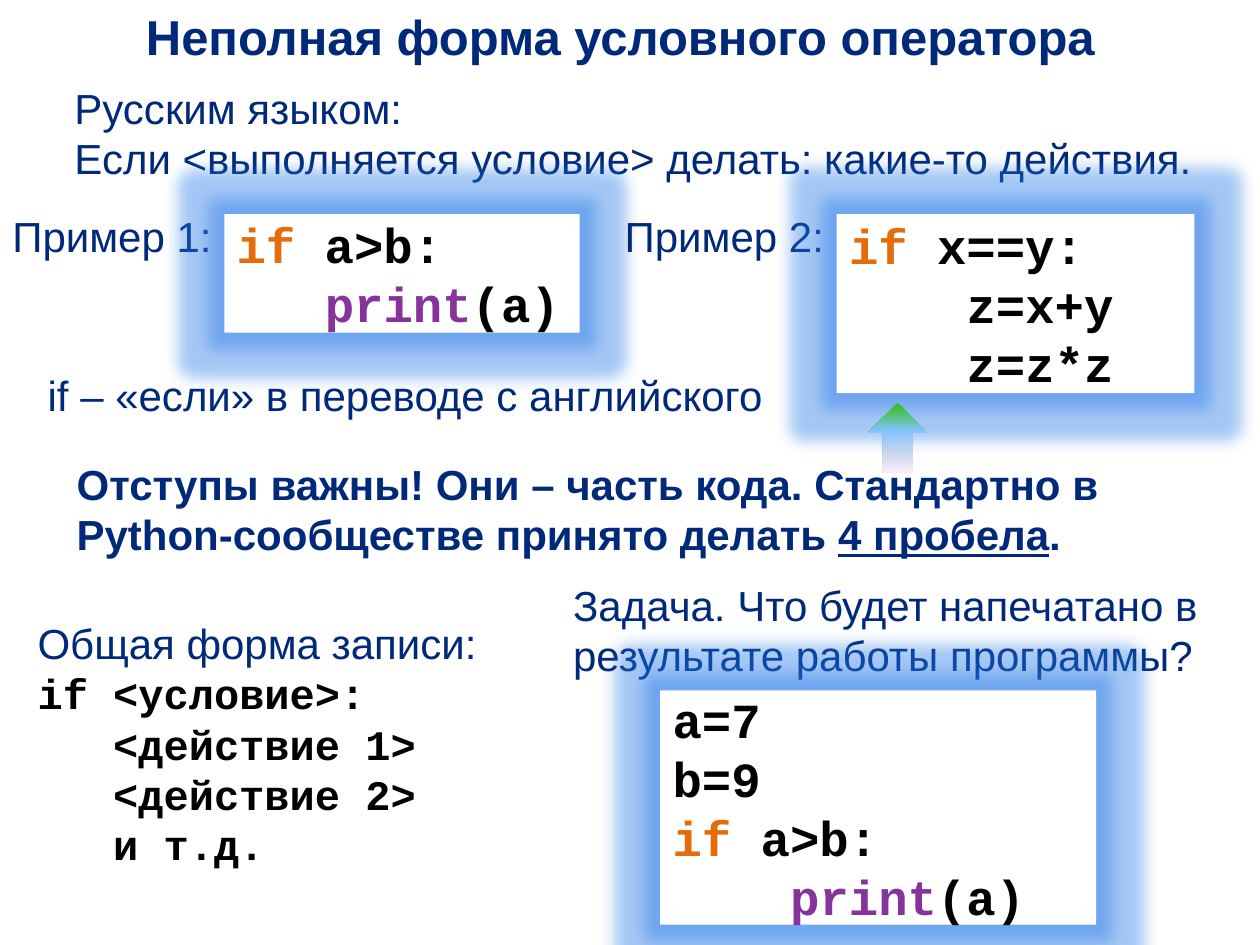
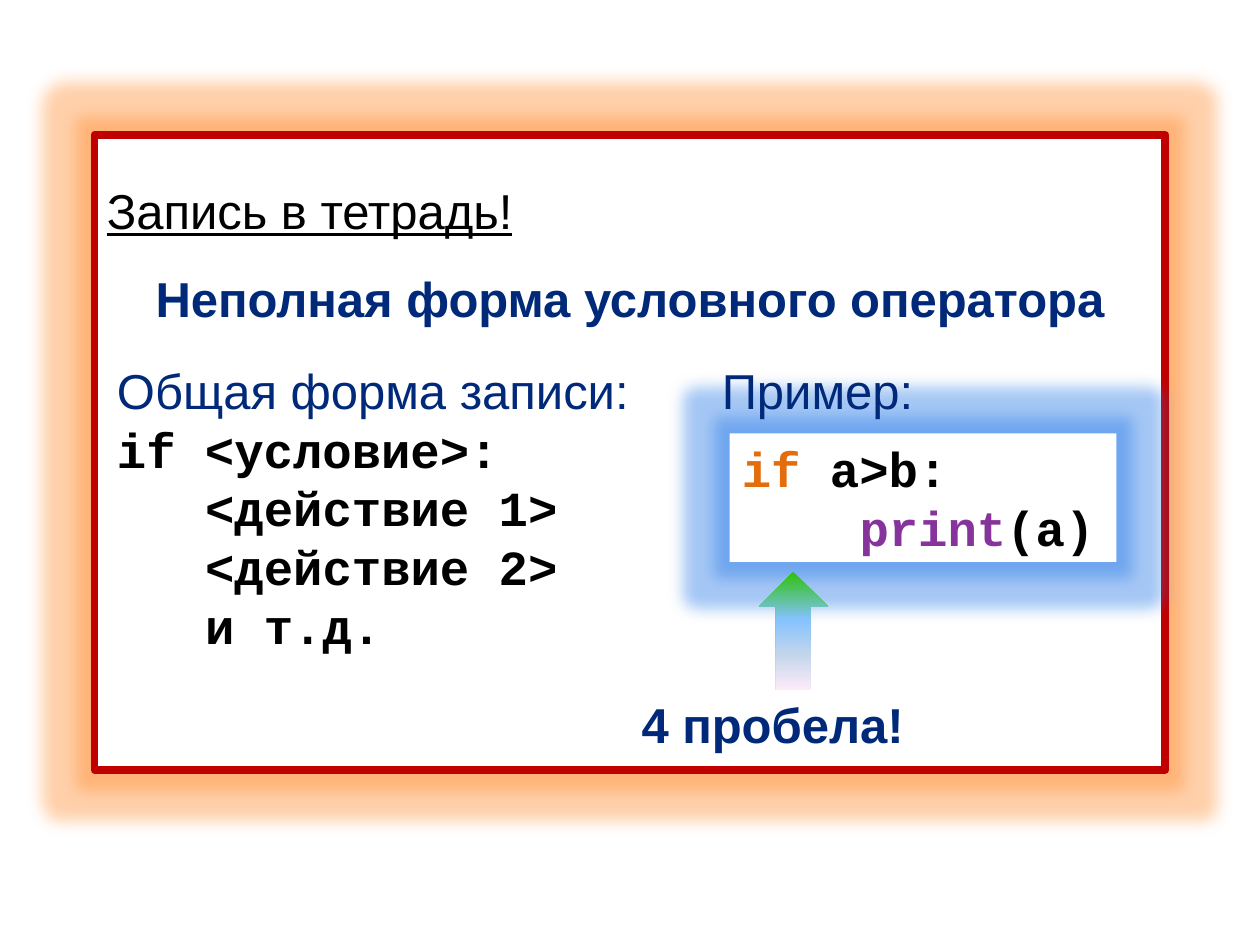
from dataclasses import dataclass
from typing import NamedTuple

from lxml.etree import SubElement
from pptx import Presentation
from pptx.dml.color import RGBColor
from pptx.enum.shapes import MSO_SHAPE
from pptx.enum.text import MSO_ANCHOR, PP_ALIGN
from pptx.oxml.ns import qn
from pptx.util import Emu, Inches, Pt

CELL = Inches(0.1)
COLUMNS, ROWS = 100, 75
SANS, MONO = "Arial", "Courier New"
NAVY, BLACK, WHITE = "00297A", "000000", "FFFFFF"
KEYWORD, BUILTIN, RED = "E46C0A", "86349C", "C00000"
BLUE_GLOW, ORANGE_GLOW = "2075E6", "FF8A2B"
ARROW_STOPS = [(0, "2DC20A"), (40, "85C2FF"), (70, "C4D6EB"), (100, "FFEBFA")]
TITLE = "Неполная форма условного оператора"
TITLE_SIZE, BODY_SIZE = 28, 24
MONO_WIDTH = 0.6


class Box(NamedTuple):
    """A region in grid columns and rows."""
    left: float
    top: float
    width: float
    height: float

    def inner(self, left, top, width=None, height=None):
        """Return a region at an offset, reaching this one's far edges by default."""
        return Box(self.left + left, self.top + top,
                   self.width - left if width is None else width,
                   self.height - top if height is None else height)

    def lengths(self):
        """Return the region in slide units."""
        return [Emu(round(value * CELL)) for value in self]


@dataclass
class Line:
    """One paragraph: runs of (text, format changes) and its layout in points."""
    runs: list
    margin: float = 0
    first: float = 0
    align: PP_ALIGN = PP_ALIGN.LEFT
    spacing: float = 1
    before: float = 0
    after: float = 0


def rgb(value):
    """Turn a hex string into a colour."""
    return RGBColor.from_string(value)


def plain(text, **changes):
    """Make a line of one run."""
    return Line([(text, changes)])


def code(*runs, depth=0, size=TITLE_SIZE):
    """Make a code line of (text, colour) runs, indented by depth characters."""
    return Line([(text, dict(font=MONO, color=color, bold=True, size=size))
                 for text, color in runs], margin=depth * size * MONO_WIDTH)


def write(frame, lines, anchor=MSO_ANCHOR.TOP, **defaults):
    """Fill a text frame with lines; each run may change the default format."""
    frame.word_wrap = True
    frame.vertical_anchor = anchor
    for index, line in enumerate(lines):
        paragraph = frame.paragraphs[0] if index == 0 else frame.add_paragraph()
        paragraph.alignment = line.align
        paragraph.line_spacing = line.spacing
        paragraph.space_before, paragraph.space_after = Pt(line.before), Pt(line.after)
        properties = paragraph._p.get_or_add_pPr()
        properties.set("marL", str(Pt(line.margin)))
        properties.set("indent", str(Pt(line.first)))
        for text, changes in line.runs:
            style = dict(size=BODY_SIZE, font=SANS, color=NAVY,
                         bold=False, underline=False) | defaults | changes
            run = paragraph.add_run()
            run.text = text
            run.font.name, run.font.size = style["font"], Pt(style["size"])
            run.font.bold, run.font.underline = style["bold"], style["underline"]
            run.font.color.rgb = rgb(style["color"])


def add_text(slide, box, lines, **options):
    """Add a text box."""
    write(slide.shapes.add_textbox(*box.lengths()).text_frame, lines, **options)


def add_glowing_panel(slide, box, lines, glow, border=None):
    """Add a white rectangle with a soft glow and middle-anchored text."""
    shape = slide.shapes.add_shape(MSO_SHAPE.RECTANGLE, *box.lengths())
    shape.shadow.inherit = False
    shape.fill.solid()
    shape.fill.fore_color.rgb = rgb(WHITE)
    if border:
        shape.line.color.rgb = rgb(border)
        shape.line.width = Pt(4.5)
    else:
        shape.line.fill.background()
    effects = shape._element.spPr.find(qn("a:effectLst"))
    halo = SubElement(effects, qn("a:glow"), rad=str(Pt(18)))
    color = SubElement(halo, qn("a:srgbClr"), val=glow)
    SubElement(color, qn("a:alpha"), val="40000")
    write(shape.text_frame, lines, MSO_ANCHOR.MIDDLE, size=TITLE_SIZE)


def add_arrow(slide, box):
    """Add an upward arrow with a vertical gradient."""
    shape = slide.shapes.add_shape(MSO_SHAPE.UP_ARROW, *box.lengths())
    shape.shadow.inherit = False
    shape.line.fill.background()
    shape.fill.gradient()
    shape.fill.gradient_angle = 270
    stops = shape._element.spPr.find(qn("a:gradFill")).find(qn("a:gsLst"))
    for stop in list(stops):
        stops.remove(stop)
    for position, value in ARROW_STOPS:
        stop = SubElement(stops, qn("a:gs"), pos=str(position * 1000))
        SubElement(stop, qn("a:srgbClr"), val=value)


def condition(test):
    """Make the opening line of an if statement."""
    return code(("if", KEYWORD), (f" {test}:", BLACK))


def print_line(depth=4):
    """Make the indented call that prints a."""
    return code(("print", BUILTIN), ("(a)", BLACK), depth=depth)


def add_general_form(slide, box, size):
    """Describe the general form of the statement."""
    body = ["<действие 1>", "<действие 2>", "и т.д."]
    add_text(slide, box, [plain("Общая форма записи:"),
                          code(("if <условие>:", BLACK), size=size),
                          *(code((text, BLACK), depth=3, size=size) for text in body)],
             size=size)


def add_example(slide, box, label, lines):
    """Put a label at the left of a code panel."""
    add_text(slide, box.inner(0, 0, 22, 5), [plain(label)])
    add_glowing_panel(slide, box.inner(17.8, 0.8), lines, BLUE_GLOW)


def add_task(slide, box):
    """Place the question above its program."""
    question = "Задача. Что будет напечатано в результате работы программы?"
    add_text(slide, box.inner(0, 0, height=9.1), [plain(question)],
             anchor=MSO_ANCHOR.MIDDLE)
    program = [code(("a=7", BLACK)), code(("b=9", BLACK)), condition("a>b"), print_line()]
    add_glowing_panel(slide, box.inner(7.9, 9.4, 34.6), program, BLUE_GLOW)


def build_lesson(slide, page):
    """Explain the statement with examples and a task."""
    add_text(slide, page.inner(10.6, 0, 81.9, 5.7), [plain(TITLE)],
             size=TITLE_SIZE, bold=True)
    add_general_form(slide, page.inner(2, 48.5, 42.5, 21.2), BODY_SIZE)
    add_text(slide, page.inner(2.8, 28.8, 81.1, 5),
             [plain("if – «если» в переводе с английского")])
    meaning = ["Русским языком:", "Если <выполняется условие> делать: какие-то действия."]
    add_text(slide, page.inner(0, 6, 98, 9.1),
             [Line([(text, {})], first=35.5) for text in meaning],
             anchor=MSO_ANCHOR.MIDDLE)
    add_example(slide, page.inner(0, 16.2, 46, 10.2), "Пример 1:",
                [condition("a>b"), print_line(3)])
    add_example(slide, page.inner(48.6, 16.2, 46.2, 15), "Пример 2:",
                [condition("x==y"),
                 *(code((text, BLACK), depth=4) for text in ("z=x+y", "z=z*z"))])
    warning = ("Отступы важны! Они – часть кода. Стандартно в "
               "Python-сообществе принято делать ")
    add_text(slide, page.inner(5.1, 35.9, 90.1, 9.1),
             [Line([(warning, {}), ("4 пробела", dict(underline=True)), (".", {})])],
             bold=True)
    add_task(slide, page.inner(44.5, 45.4, height=28))
    add_arrow(slide, page.inner(68.9, 32, 4.7, 5.5))


def build_summary(slide, page):
    """Frame the notes to be copied into the notebook."""
    frame = page.inner(7.5, 10.7, 85, 50.4)
    heading = dict(align=PP_ALIGN.CENTER, spacing=1.5, after=12)
    notes = [Line([("Запись в тетрадь!", dict(color=BLACK, underline=True))], spacing=1.5),
             Line([(TITLE, dict(bold=True))], **heading),
             Line([("4 пробела!", dict(bold=True))], margin=163, before=181, **heading)]
    add_glowing_panel(slide, frame, notes, ORANGE_GLOW, border=RED)
    add_glowing_panel(slide, frame.inner(50.4, 23.7, 30.7, 10.2),
                      [condition("a>b"), print_line()], BLUE_GLOW)
    add_text(slide, frame.inner(48.8, 17.4, 18.9, 5.7), [plain("Пример:")],
             size=TITLE_SIZE)
    add_general_form(slide, frame.inner(0.8, 17.4, 47.2, 24.6), TITLE_SIZE)
    add_arrow(slide, frame.inner(52.7, 34.7, 5.5, 9.4))


def main():
    """Build and save the presentation."""
    presentation = Presentation()
    presentation.slide_width = COLUMNS * CELL
    presentation.slide_height = ROWS * CELL
    for build in (build_lesson, build_summary):
        slide = presentation.slides.add_slide(presentation.slide_layouts[6])
        build(slide, Box(0, 0, COLUMNS, ROWS))
    presentation.save("out.pptx")


if __name__ == "__main__":
    main()
